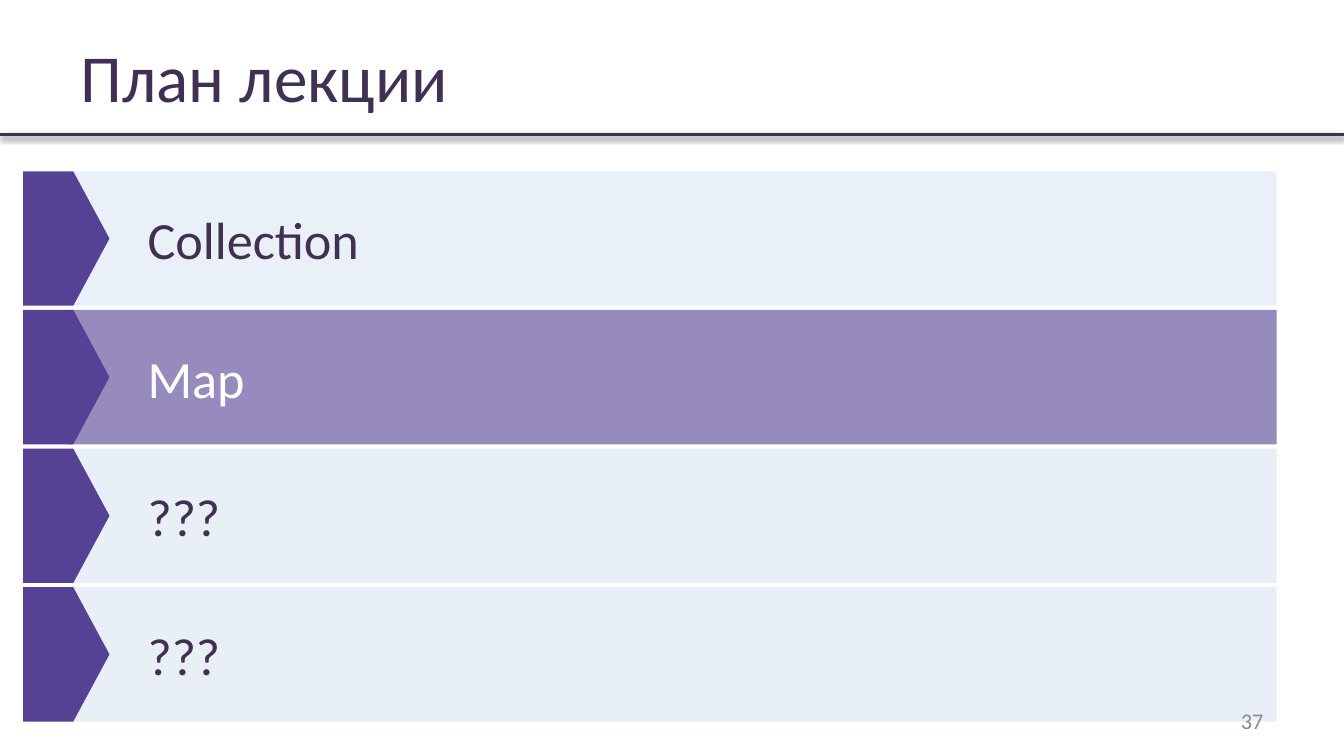
from dataclasses import dataclass
from lxml import etree
from pptx import Presentation
from pptx.dml.color import RGBColor
from pptx.enum.shapes import MSO_CONNECTOR, MSO_SHAPE
from pptx.enum.text import MSO_ANCHOR, MSO_AUTO_SIZE, PP_ALIGN
from pptx.oxml.ns import qn
from pptx.util import Cm, Pt

RECT, ARROW = MSO_SHAPE.RECTANGLE, MSO_SHAPE.PENTAGON
LINE = MSO_CONNECTOR.STRAIGHT
MIDDLE, FIXED = MSO_ANCHOR.MIDDLE, MSO_AUTO_SIZE.NONE
LEFT, RIGHT = PP_ALIGN.LEFT, PP_ALIGN.RIGHT


@dataclass(frozen=True)
class Theme:
    font: str = "Calibri"
    ink: str = "403152"
    accent: str = "554294"
    pale: str = "DCE6F2"
    first: str = "EAF0F7"
    white: str = "FFFFFF"
    grey: str = "8B8B8B"
    title: int = 36
    body: int = 28
    small: int = 12
    alpha: int = 61


THEME = Theme()
# Text, fill, opacity in percent, text colour
TOPICS = [
    ("Collection", THEME.first, 100, THEME.ink),
    ("Map", THEME.accent, THEME.alpha, THEME.white),
    ("???", THEME.pale, THEME.alpha, THEME.ink),
    ("???", THEME.pale, THEME.alpha, THEME.ink),
]


def rgb(code):
    return RGBColor.from_string(code)


def write(shape, text, size, color, align=LEFT, indent=0):
    frame = shape.text_frame
    frame.word_wrap = True
    frame.auto_size = FIXED
    frame.vertical_anchor = MIDDLE
    para = frame.paragraphs[0]
    para.text = text
    para.alignment = align
    para.font.name = THEME.font
    para.font.size = Pt(size)
    para.font.color.rgb = rgb(color)
    if indent:
        props = para._p.get_or_add_pPr()
        props.set("marL", str(Cm(indent)))
        props.set("indent", "0")


def add_block(slide, kind, box, color, alpha=100):
    shape = slide.shapes.add_shape(kind, *map(Cm, box))
    shape.shadow.inherit = False
    shape.line.fill.background()
    shape.fill.solid()
    shape.fill.fore_color.rgb = rgb(color)
    if alpha < 100:
        tint = shape.fill._xPr.find(".//" + qn("a:srgbClr"))
        etree.SubElement(tint, qn("a:alpha"), val=str(alpha * 1000))
    return shape


def add_shadow(line):
    effects = etree.SubElement(line._element.spPr, qn("a:effectLst"))
    shadow = etree.SubElement(
        effects, qn("a:outerShdw"), blurRad=str(Pt(3.1)), dist=str(Pt(1.6)),
        dir="5400000", rotWithShape="0")
    tint = etree.SubElement(shadow, qn("a:srgbClr"), val="000000")
    etree.SubElement(tint, qn("a:alpha"), val="38000")


def add_header(slide, box, text):
    left, top, width, height = box
    # Rule across the slide
    rule = slide.shapes.add_connector(
        LINE, Cm(left), Cm(top + height), Cm(left + width), Cm(top + height))
    rule.line.color.rgb = rgb(THEME.ink)
    rule.line.width = Pt(2)
    add_shadow(rule)
    # Title
    title = slide.shapes.title
    title.left, title.top = Cm(left + 1.27), Cm(top + 0.58)
    title.width, title.height = Cm(width - 2.54), Cm(1.7)
    write(title, text, THEME.title, THEME.ink)


def add_plan(slide, box, topics):
    left, top, width, height = box
    bar, inset = 2.54, 0.83
    step = (height - bar) / (len(topics) - 1)
    # Bars with topics
    for row, (text, fill, alpha, color) in enumerate(topics):
        place = (left + inset, top + row * step, width - inset, bar)
        shape = add_block(slide, RECT, place, fill, alpha)
        write(shape, text, THEME.body, color, indent=1.27)
    # Arrow tabs
    for row in range(len(topics)):
        place = (left, top + row * step, 1.63, bar)
        tab = add_block(slide, ARROW, place, THEME.accent)
        tab.adjustments[0] = 0.42


def add_number(slide, box, text):
    label = slide.shapes.add_textbox(*map(Cm, box))
    write(label, text, THEME.small, THEME.grey, align=RIGHT)


deck = Presentation()
deck.slide_width, deck.slide_height = Cm(25.4), Cm(14.29)
slide = deck.slides.add_slide(deck.slide_layouts[5])
add_header(slide, (0, 0, 25.4, 2.54), "План лекции")
add_plan(slide, (0.44, 3.24, 23.69, 10.4), TOPICS)
add_number(slide, (18.21, 13.24, 5.92, 0.76), "37")
deck.save("out.pptx")
